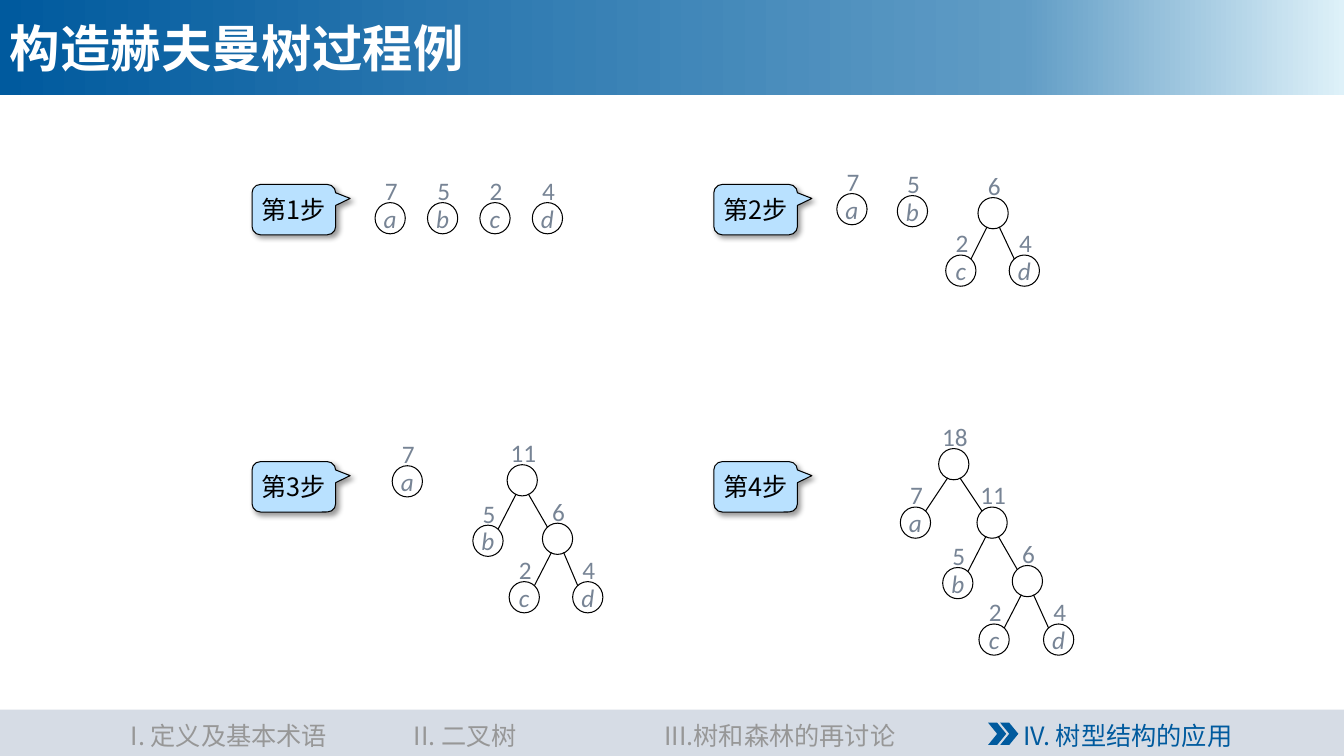
from copy import deepcopy
from dataclasses import dataclass

from lxml import etree
from pptx import Presentation
from pptx.dml.color import RGBColor
from pptx.enum import shapes, text
from pptx.oxml import ns
from pptx.util import Inches, Pt

TITLE = "构造赫夫曼树过程例"

# Each step: label, callout corner, then nodes as
# (centre x, top, name, weight, index of the parent node or None).
STEPS = [
    ("第1步", (2.5, 1.83), [
        (3.87, 2.01, "a", 7, None), (4.39, 2.01, "b", 5, None),
        (4.91, 2.01, "c", 2, None), (5.43, 2.01, "d", 4, None)]),
    ("第2步", (7.08, 1.83), [
        (8.45, 1.92, "a", 7, None), (9.05, 1.94, "b", 5, None),
        (9.85, 1.96, "", 6, None),
        (9.53, 2.53, "c", 2, 2), (10.16, 2.53, "d", 4, 2)]),
    ("第3步", (2.5, 4.58), [
        (4.04, 4.62, "a", 7, None), (5.18, 4.61, "", 11, None),
        (4.84, 5.21, "b", 5, 1), (5.53, 5.19, "", 6, 1),
        (5.2, 5.77, "c", 2, 3), (5.83, 5.77, "d", 4, 3)]),
    ("第4步", (7.08, 4.58), [
        (9.46, 4.45, "", 18, None),
        (9.08, 5.03, "a", 7, 0), (9.84, 5.03, "", 11, 0),
        (9.5, 5.63, "b", 5, 2), (10.19, 5.61, "", 6, 2),
        (9.86, 6.19, "c", 2, 4), (10.5, 6.19, "d", 4, 4)]),
]

# Chapter label, left, width, whether it is the current one.
CHAPTERS = [
    ("I. 定义及基本术语", 0.43, 3.68, False),
    ("II. 二叉树", 3.5, 2.23, False),
    ("III.树和森林的再讨论", 6.28, 2.91, False),
    ("IV. 树型结构的应用", 9.97, 2.43, True),
]
CHEVRON_LEFTS = (9.8, 9.92)


@dataclass(frozen=True)
class Theme:
    latin: str = "Calibri"
    chinese: str = "Noto Sans CJK SC"
    title_size: int = 36
    body_size: int = 18
    line_width: float = 0.75
    ink: str = "000000"
    white: str = "FFFFFF"
    node_text: str = "778495"
    callout: str = "B9E1FF"
    accent: str = "005A9E"
    footer: str = "D6DCE5"
    muted: str = "979797"
    banner: tuple = ((0, "005A9E"), (0.76, "609CC5"), (1, "DEF1F9"))


THEME = Theme()
SLIDE_WIDTH, SLIDE_HEIGHT = 13.33, 7.5
NODE_WIDTH, NODE_HEIGHT = 0.3, 0.31
WEIGHT_WIDTH, WEIGHT_HEIGHT, WEIGHT_RISE = 0.45, 0.4, 0.32
EDGE_START = (0.06, 0.29)  # from the parent's centre and top
EDGE_END = (0.1, 0.04)     # from the child's centre and top

deck = Presentation()
deck.slide_width, deck.slide_height = Inches(SLIDE_WIDTH), Inches(SLIDE_HEIGHT)
page = deck.slides.add_slide(deck.slide_layouts[6])


def rgb(value):
    return RGBColor.from_string(value)


def write(box, words, colour, font=THEME.chinese, size=THEME.body_size,
          bold=False, italic=False, align=text.PP_ALIGN.CENTER,
          anchor=text.MSO_ANCHOR.MIDDLE, wrap=False):
    frame = box.text_frame
    frame.text = words
    frame.word_wrap = wrap
    frame.vertical_anchor = anchor
    frame.paragraphs[0].alignment = align
    for span in frame.paragraphs[0].runs:
        span.font.name, span.font.size = font, Pt(size)
        span.font.bold, span.font.italic = bold, italic
        span.font.color.rgb = rgb(colour)
        east_asian = etree.SubElement(span.font._element, ns.qn("a:ea"))
        east_asian.set("typeface", font)


def add_box(left, top, width, height):
    return page.shapes.add_textbox(*map(Inches, (left, top, width, height)))


def add_shape(kind, left, top, width, height, fill=None, outlined=False):
    shape = page.shapes.add_shape(
        kind, *map(Inches, (left, top, width, height)))
    shape.shadow.inherit = False
    if fill:
        shape.fill.solid()
        shape.fill.fore_color.rgb = rgb(fill)
    else:
        shape.fill.background()
    if outlined:
        shape.line.color.rgb = rgb(THEME.ink)
        shape.line.width = Pt(THEME.line_width)
    else:
        shape.line.fill.background()
    return shape


def add_drop_shadow(shape):
    effects = shape._element.spPr.find(ns.qn("a:effectLst"))
    shadow = etree.SubElement(effects, ns.qn("a:outerShdw"), {
        "blurRad": str(Pt(4)), "dist": str(Pt(3)),
        "dir": str(45 * 60000), "algn": "tl", "rotWithShape": "0"})
    colour = etree.SubElement(shadow, ns.qn("a:srgbClr"), val=THEME.ink)
    etree.SubElement(colour, ns.qn("a:alpha"), val="40000")


def add_callout(label, left, top):
    callout = add_shape(shapes.MSO_SHAPE.ROUNDED_RECTANGULAR_CALLOUT,
                        left, top, 0.83, 0.5, THEME.callout, outlined=True)
    for index, value in enumerate((0.673, -0.222, 0.167)):
        callout.adjustments[index] = value
    add_drop_shadow(callout)
    write(callout, label, THEME.ink)


def add_node(centre, top, name, weight):
    node = add_shape(shapes.MSO_SHAPE.OVAL, centre - NODE_WIDTH / 2, top,
                     NODE_WIDTH, NODE_HEIGHT, outlined=True)
    if name:
        write(node, name, THEME.node_text, THEME.latin, italic=True)
    label = add_box(centre + 0.01 - WEIGHT_WIDTH / 2, top - WEIGHT_RISE,
                    WEIGHT_WIDTH, WEIGHT_HEIGHT)
    write(label, str(weight), THEME.node_text, THEME.latin)


def add_edge(parent, child):
    side = 1 if child[0] > parent[0] else -1
    ends = (parent[0] + side * EDGE_START[0], parent[1] + EDGE_START[1],
            child[0] - side * EDGE_END[0], child[1] + EDGE_END[1])
    edge = page.shapes.add_connector(
        shapes.MSO_CONNECTOR.STRAIGHT, *map(Inches, ends))
    edge.line.color.rgb = rgb(THEME.ink)
    edge.line.width = Pt(THEME.line_width)
    etree.SubElement(edge._element.spPr, ns.qn("a:effectLst"))


def add_banner():
    banner = add_shape(shapes.MSO_SHAPE.RECTANGLE, 0, 0, SLIDE_WIDTH, 0.94)
    banner.fill.gradient()
    banner.fill.gradient_angle = 0
    stop_list = banner._element.spPr.find(".//" + ns.qn("a:gsLst"))
    stop_list.append(deepcopy(stop_list[0]))
    for stop, (position, colour) in zip(banner.fill.gradient_stops,
                                        THEME.banner):
        stop.position, stop.color.rgb = position, rgb(colour)
    write(banner, TITLE, THEME.white, size=THEME.title_size, bold=True,
          align=text.PP_ALIGN.LEFT, wrap=True)


def add_footer():
    add_shape(shapes.MSO_SHAPE.RECTANGLE, 0, 7.04, SLIDE_WIDTH, 0.46,
              THEME.footer)
    for left in CHEVRON_LEFTS:
        add_shape(shapes.MSO_SHAPE.CHEVRON, left, 7.17, 0.18, 0.22,
                  THEME.accent)
    for label, left, width, current in CHAPTERS:
        write(add_box(left, 7.1, width, 0.4), label,
              THEME.accent if current else THEME.muted,
              anchor=text.MSO_ANCHOR.TOP, wrap=True)


for step_label, corner, nodes in STEPS:
    for *place, parent_index in nodes:
        add_node(*place)
        if parent_index is not None:
            add_edge(nodes[parent_index], place)
    add_callout(step_label, *corner)
add_banner()
add_footer()
deck.save("out.pptx")
